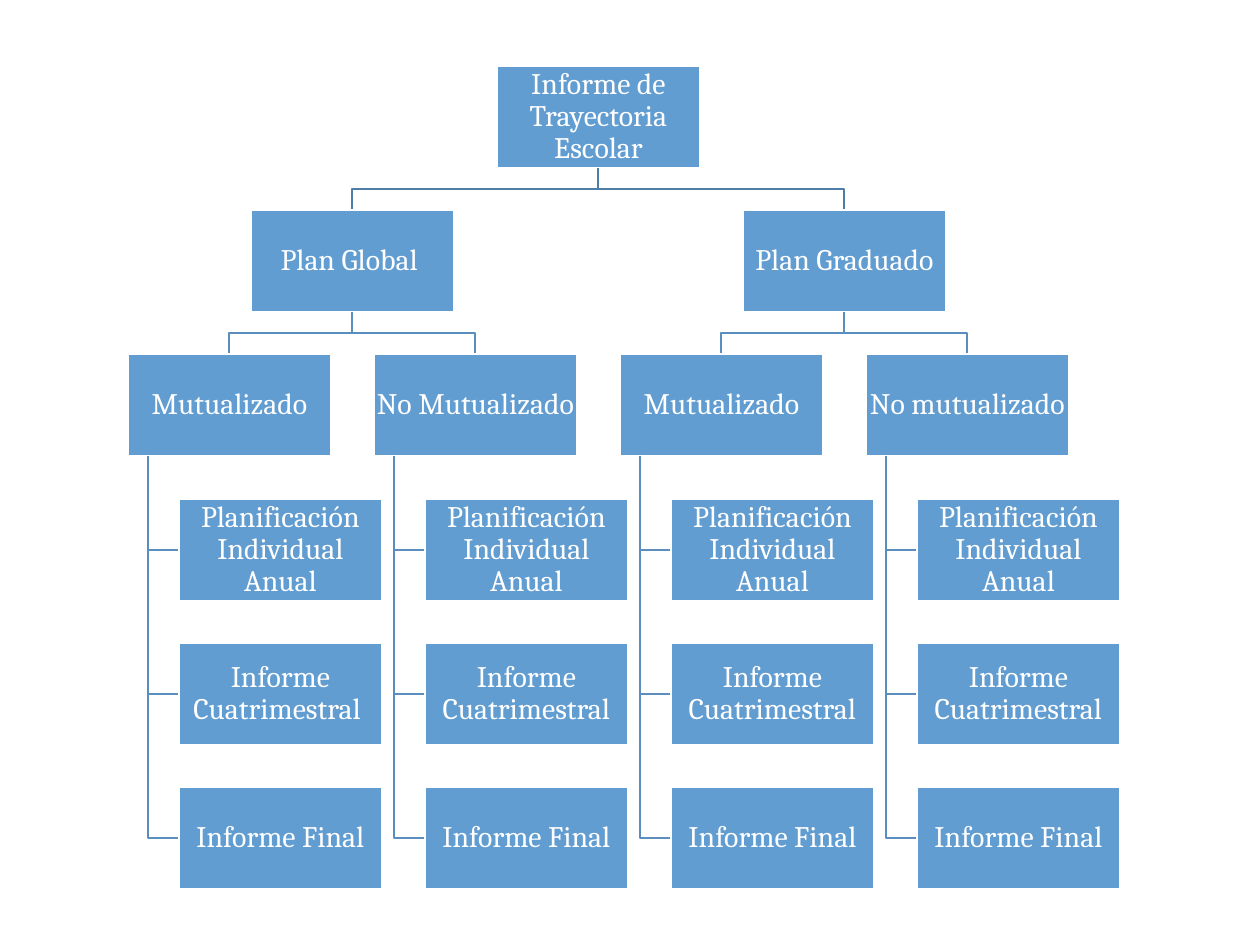
"""Build a school-record organisation chart slide."""
from pptx import Presentation
from pptx.dml.color import RGBColor
from pptx.enum.shapes import MSO_SHAPE as Shape
from pptx.enum.text import MSO_ANCHOR as Anchor, PP_ALIGN as Align
from pptx.util import Emu, Pt

SCALE = 914400 / 126
BLUE = RGBColor(0x62, 0x9D, 0xD1)
WHITE = RGBColor(0xFF, 0xFF, 0xFF)
TOP_LINE = RGBColor(0x4E, 0x7E, 0xA7)
LINE = RGBColor(0x59, 0x8E, 0xBE)

BOX_WIDTH, BOX_HEIGHT = 203, 102
LEFT, COLUMN_PITCH = 128, 246
TOP, ROW_PITCH = 66, 144.2
LEAF_INDENT, TRUNK_INDENT = 51, 20

PLANS = [
    ("Plan Global ", ["Mutualizado", "No Mutualizado"]),
    ("Plan Graduado", ["Mutualizado", "No mutualizado"]),
]
LEAVES = ["Planificación Individual Anual", "Informe Cuatrimestral", "Informe Final"]


def px(length):
    return Emu(round(length * SCALE))


def column_left(column):
    return round(LEFT + COLUMN_PITCH * column)


def row_top(row):
    return round(TOP + ROW_PITCH * row)


def apply(target, values):
    for name, value in values.items():
        setattr(target, name, value)


class OrgChart:
    FRAME = dict(word_wrap=True, vertical_anchor=Anchor.MIDDLE, margin_left=px(1),
                 margin_top=px(1), margin_right=px(1), margin_bottom=px(1))
    PARAGRAPH = dict(alignment=Align.CENTER, line_spacing=0.9)
    FONT = dict(name="Cambria", size=Pt(17))

    def __init__(self, slide):
        self.slide = slide

    def box(self, text, left, row):
        shape = self.slide.shapes.add_shape(
            Shape.RECTANGLE, px(left), px(row_top(row)), px(BOX_WIDTH), px(BOX_HEIGHT))
        shape.shadow.inherit = False
        shape.fill.solid()
        shape.fill.fore_color.rgb = BLUE
        self.outline(shape, WHITE)
        apply(shape.text_frame, self.FRAME)
        paragraph = shape.text_frame.paragraphs[0]
        apply(paragraph, self.PARAGRAPH)
        run = paragraph.add_run()
        run.text = text
        apply(run.font, self.FONT)
        run.font.color.rgb = WHITE

    def outline(self, shape, color):
        shape.line.color.rgb = color
        shape.line.width = Pt(1.5)

    def polyline(self, points, color):
        builder = self.slide.shapes.build_freeform(*points[0], scale=SCALE)
        builder.add_line_segments(points[1:], close=False)
        shape = builder.convert_to_shape()
        shape.shadow.inherit = False
        shape.fill.background()
        self.outline(shape, color)

    def branch(self, parent_column, child_column, parent_row, color):
        start, end = (column_left(column) + BOX_WIDTH // 2
                      for column in (parent_column, child_column))
        top, bottom = row_top(parent_row) + BOX_HEIGHT, row_top(parent_row + 1)
        middle = (top + bottom) // 2
        self.polyline([(start, top), (start, middle), (end, middle), (end, bottom)], color)

    def leaf_link(self, column, row):
        trunk = column_left(column) + TRUNK_INDENT
        middle = row_top(row) + BOX_HEIGHT // 2
        self.polyline([(trunk, row_top(2) + BOX_HEIGHT), (trunk, middle),
                       (column_left(column) + LEAF_INDENT, middle)], LINE)


def main():
    presentation = Presentation()
    presentation.slide_width, presentation.slide_height = px(1260), px(945)
    chart = OrgChart(presentation.slides.add_slide(presentation.slide_layouts[6]))

    chart.box("Informe de Trayectoria Escolar", column_left(1.5), 0)
    for index, (plan, options) in enumerate(PLANS):
        plan_column = 2 * index + 0.5
        chart.branch(1.5, plan_column, 0, TOP_LINE)
        chart.box(plan, column_left(plan_column), 1)
        for column, option in enumerate(options, start=2 * index):
            chart.branch(plan_column, column, 1, LINE)
            chart.box(option, column_left(column), 2)
            for row, leaf in enumerate(LEAVES, start=3):
                chart.leaf_link(column, row)
                trailing = " " if (column, row) == (0, 4) else ""
                chart.box(leaf + trailing, column_left(column) + LEAF_INDENT, row)

    presentation.save("out.pptx")


if __name__ == "__main__":
    main()
